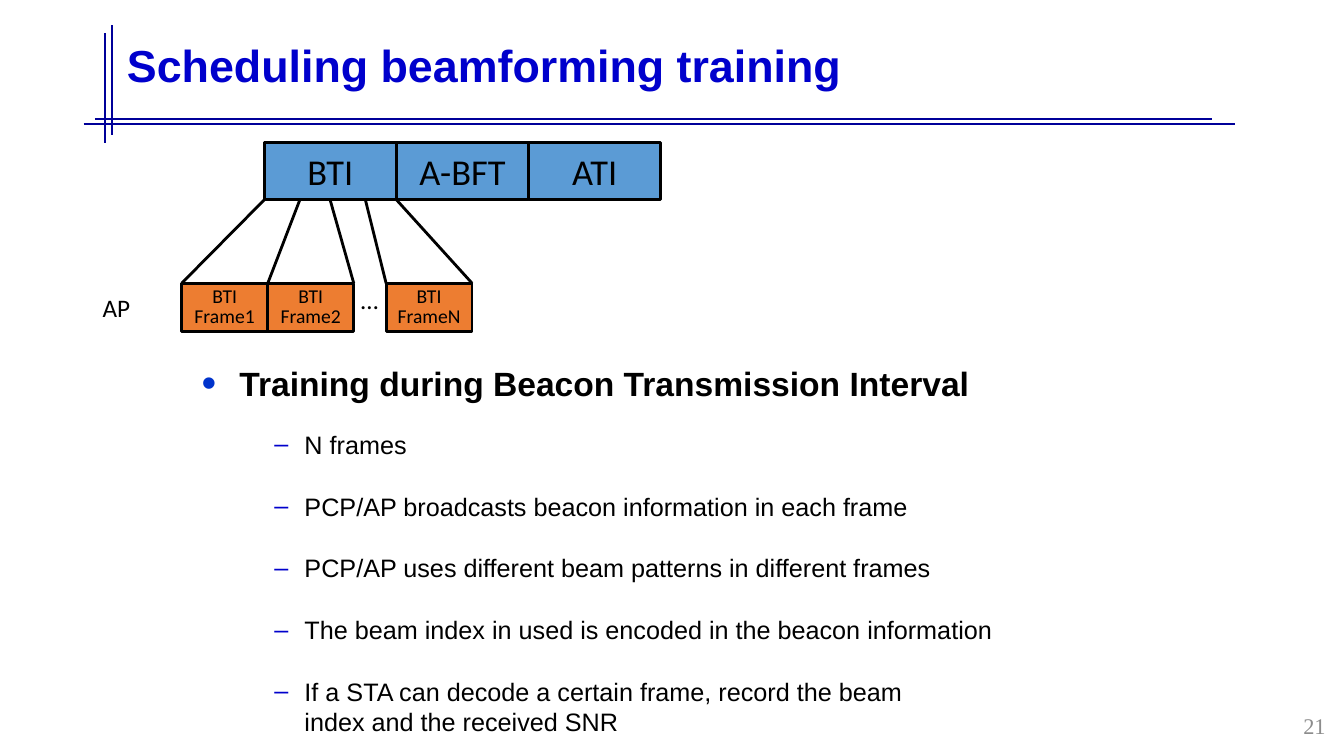
import pptx
import pptx.util
import pptx.dml.color
import pptx.enum.shapes
import pptx.enum.text
import pptx.oxml.ns
import lxml.etree

Pt = pptx.util.Pt
qn = pptx.oxml.ns.qn
RGB = pptx.dml.color.RGBColor.from_string
ALIGN = pptx.enum.text.PP_ALIGN
ANCHOR = pptx.enum.text.MSO_ANCHOR
COLORS = {
    "rule": "000099", "heading": "0000CC", "dot": "0033CC", "ink": "000000",
    "number": "8C8C8C", "interval": "5B9BD5", "frame": "ED7D31",
}


def write(paragraph, text, size=18, font="Arial", color="ink", bold=False,
          align=ALIGN.LEFT, spacing=1.0, before=0):
    paragraph.text = text
    paragraph.alignment = align
    paragraph.line_spacing = spacing
    paragraph.space_before = Pt(before)
    for run in paragraph.runs:
        run.font.size = Pt(size)
        run.font.name = font
        run.font.bold = bold
        run.font.color.rgb = RGB(COLORS[color])
    for line_break in paragraph._p.findall(qn("a:br")):
        lxml.etree.SubElement(line_break, qn("a:rPr"), sz=str(size * 100))


def draw_line(x1, y1, x2, y2, color, width):
    line = slide.shapes.add_connector(
        pptx.enum.shapes.MSO_CONNECTOR.STRAIGHT, Pt(x1), Pt(y1), Pt(x2), Pt(y2))
    line.line.color.rgb = RGB(COLORS[color])
    line.line.width = Pt(width)
    lxml.etree.SubElement(line._element.spPr, qn("a:effectLst"))


deck = pptx.Presentation()
deck.slide_width, deck.slide_height = Pt(960), Pt(540)
slide = deck.slides.add_slide(deck.slide_layouts[1])

# Double rules beside and below the title
for rule in [(67.7, 85, 865.4, 85), (59.8, 88.6, 882, 88.6),
             (74.9, 23.8, 74.9, 102.2), (79.9, 18, 79.9, 96.5)]:
    draw_line(*rule, "rule", 1.75)

title = slide.shapes.title
title.left, title.top, title.width, title.height = Pt(83.5), Pt(3.6), Pt(860), Pt(90)
title.text_frame.vertical_anchor = ANCHOR.MIDDLE
write(title.text_frame.paragraphs[0], "Scheduling beamforming training",
      size=32, color="heading", bold=True, spacing=0.9)

# Beacon intervals, and the frames that make up the first one
interval_left, interval_top, interval_width, interval_height = 188.8, 101.7, 94.4, 41
frame_top, frame_width, frame_height = 202.3, 61.4, 34.6
frame_lefts = {"BTI Frame1": 129.8, "BTI Frame2": 191.3, "BTI FrameN": 275.8}
blocks = [(name, interval_left + i * interval_width, interval_top, interval_width,
           interval_height, "interval", 26, 1.0)
          for i, name in enumerate(["BTI", "A-BFT", "ATI"])]
blocks += [(name, left, frame_top, frame_width, frame_height, "frame", 14, Pt(14))
           for name, left in frame_lefts.items()]
for name, left, top, width, height, fill, size, spacing in blocks:
    block = slide.shapes.add_shape(pptx.enum.shapes.MSO_SHAPE.RECTANGLE,
                                   Pt(left), Pt(top), Pt(width), Pt(height))
    block.shadow.inherit = False
    block.fill.solid()
    block.fill.fore_color.rgb = RGB(COLORS[fill])
    block.line.color.rgb = RGB(COLORS["ink"])
    block.line.width = Pt(2)
    label = block.text_frame
    label.word_wrap = True
    label.vertical_anchor = ANCHOR.MIDDLE
    label.margin_left = label.margin_right = Pt(3.6)
    write(label.paragraphs[0], name, size=size, font="Calibri",
          align=ALIGN.CENTER, spacing=spacing)

for start, end in [(188.8, 129.8), (214.2, 191.3), (235.8, 252.7),
                   (261, 275.8), (283.2, 337.2)]:
    draw_line(start, interval_top + interval_height, end, frame_top, "ink", 2)

for text, left, top, width, height, style in [
        ("…", 250.6, 199.4, 27.4, 28.8, {"font": "Calibri"}),
        ("AP", 66.2, 205.2, 34.6, 28.8, {"font": "Calibri"}),
        ("21", 910.8, 505.4, 50, 26,
         {"size": 16, "font": "Times New Roman", "color": "number", "align": ALIGN.RIGHT})]:
    note = slide.shapes.add_textbox(Pt(left), Pt(top), Pt(width), Pt(height))
    if text == "21":
        note.width = Pt(43.2)
        note.text_frame.vertical_anchor = ANCHOR.MIDDLE
    write(note.text_frame.paragraphs[0], text, **style)

# Bulleted list
body = slide.placeholders[1]
body.left, body.top, body.width, body.height = Pt(144), Pt(255.6), Pt(641), Pt(270)
points = body.text_frame
points.auto_size = pptx.enum.text.MSO_AUTO_SIZE.NONE
points.vertical_anchor = ANCHOR.TOP
points.margin_left = 0
items = [
    "Training during Beacon Transmission Interval",
    "N frames",
    "PCP/AP broadcasts beacon information in each frame",
    "PCP/AP uses different beam patterns in different frames",
    "The beam index in used is encoded in the beacon information",
    "If a STA can decode a certain frame, record the beam\vindex and the received SNR",
]
for i, item in enumerate(items):
    point = points.paragraphs[0] if i == 0 else points.add_paragraph()
    if i == 0:
        write(point, item, size=24, bold=True)
        margin, indent, bullet, bullet_color, bullet_size = 27, 27, "•", "dot", 125
    else:
        point.level = 1
        write(point, item, before=18.5 if i == 1 else 22.5)
        margin, indent, bullet, bullet_color, bullet_size = 73.5, 21.6, "–", "heading", 100
    properties = point._p.get_or_add_pPr()
    properties.set("marL", str(Pt(margin)))
    properties.set("indent", str(-Pt(indent)))
    bullet_fill = lxml.etree.SubElement(properties, qn("a:buClr"))
    lxml.etree.SubElement(bullet_fill, qn("a:srgbClr"), val=COLORS[bullet_color])
    lxml.etree.SubElement(properties, qn("a:buSzPct"), val=str(bullet_size * 1000))
    lxml.etree.SubElement(properties, qn("a:buFont"), typeface="Arial")
    lxml.etree.SubElement(properties, qn("a:buChar"), char=bullet)

deck.save("out.pptx")
